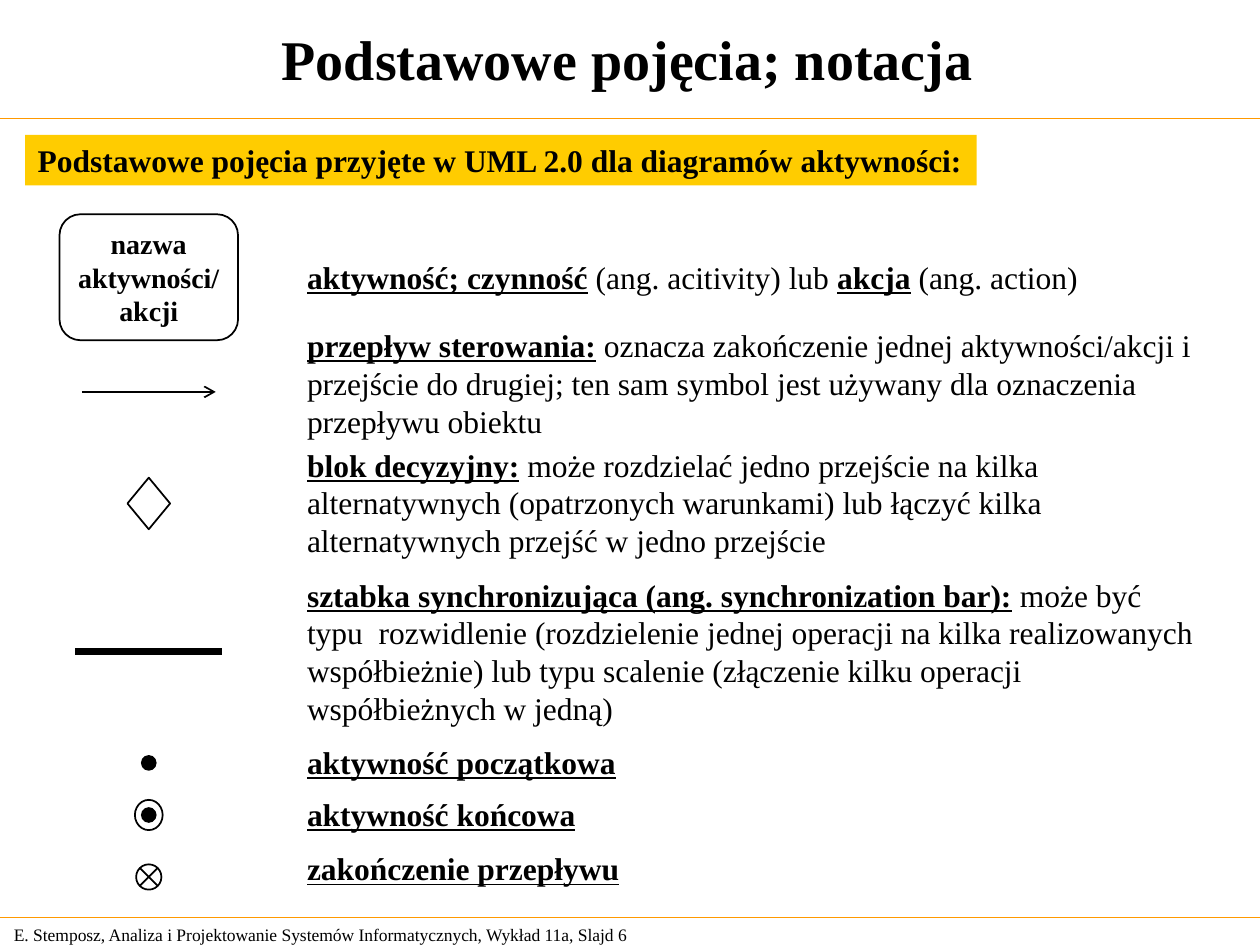
"""Builds the slide that explains the notation of UML activity diagrams."""
from dataclasses import dataclass

from lxml.etree import SubElement
from pptx import Presentation
from pptx.dml.color import RGBColor
from pptx.enum.shapes import MSO_CONNECTOR, MSO_SHAPE
from pptx.enum.text import MSO_ANCHOR, PP_ALIGN
from pptx.oxml.ns import qn
from pptx.util import Cm, Pt


@dataclass(frozen=True)
class Theme:
    font: str = "Times New Roman"
    ink: RGBColor = RGBColor(0, 0, 0)
    rule: RGBColor = RGBColor(0xFF, 0x99, 0)
    banner: RGBColor = RGBColor(0xFF, 0xCC, 0)
    title_size: int = 32
    body_size: int = 18
    symbol_size: int = 16
    footer_size: int = 10


THEME = Theme()
PAGE_WIDTH, PAGE_HEIGHT = 25.4, 19.05
TITLE = "Podstawowe pojęcia; notacja"
BANNER = "Podstawowe pojęcia przyjęte w UML 2.0 dla diagramów aktywności:"
FOOTER = "E. Stemposz, Analiza i Projektowanie Systemów Informatycznych, Wykład 11a, Slajd 6"
ACTIVITY_NAME = "nazwa\naktywności/\nakcji"
RULE_TOPS = (2.39, 18.49)
TEXT_LEFT = 5.94
SYMBOL_CENTER = 3.0

# (top, width, height, wraps, spans as (text, is_term))
DEFINITIONS = [
    (5.08, 17.4, 1.02, True, [
        ("aktywność; czynność", True), (" (ang. acitivity) lub ", False),
        ("akcja", True), (" (ang. action)", False)]),
    (6.45, 18.36, 2.54, True, [
        ("przepływ sterowania:", True),
        (" oznacza zakończenie jednej aktywności/akcji i przejście do drugiej; "
         "ten sam symbol jest używany dla oznaczenia przepływu obiektu", False)]),
    (8.86, 18.42, 2.54, True, [
        ("blok decyzyjny:", True),
        (" może rozdzielać jedno przejście na kilka alternatywnych (opatrzonych "
         "warunkami) lub łączyć kilka alternatywnych przejść w jedno przejście", False)]),
    (11.48, 18.57, 3.3, True, [
        ("sztabka synchronizująca (ang. synchronization bar):", True),
        (" może być typu  rozwidlenie (rozdzielenie jednej operacji na kilka "
         "realizowanych współbieżnie) lub typu scalenie (złączenie kilku operacji "
         "współbieżnych w jedną)", False)]),
    (14.86, 6.73, 1.02, False, [("aktywność początkowa", True)]),
    (15.9, 5.92, 1.02, False, [("aktywność końcowa", True)]),
    (17.0, 6.81, 1.02, False, [("zakończenie przepływu", True)]),
]

SYMBOLS = [
    (MSO_SHAPE.ROUNDED_RECTANGLE, 5.59, 3.6, 2.54, None, ACTIVITY_NAME),
    (MSO_SHAPE.DIAMOND, 10.15, 0.86, 1.04, None, ""),
    (MSO_SHAPE.OVAL, 15.38, 0.28, 0.28, THEME.ink, ""),
    (MSO_SHAPE.OVAL, 16.43, 0.56, 0.61, None, ""),
    (MSO_SHAPE.OVAL, 16.43, 0.28, 0.28, THEME.ink, ""),
    (MSO_SHAPE.FLOWCHART_SUMMING_JUNCTION, 17.68, 0.51, 0.51, None, ""),
]


def style_span(span, size, bold=False, underline=False):
    font = span.font
    font.name, font.size, font.bold = THEME.font, Pt(size), bold
    font.color.rgb = THEME.ink
    if underline:
        font.underline = True


def set_text(box, text, size, bold=False, align=PP_ALIGN.LEFT, anchor=MSO_ANCHOR.TOP, wrap=False):
    frame = box.text_frame
    frame.text = text
    frame.word_wrap, frame.vertical_anchor = wrap, anchor
    for paragraph in frame.paragraphs:
        paragraph.alignment = align
        for span in paragraph.runs:
            style_span(span, size, bold)


def add_line(page, left, right, top, color, width, arrow=False):
    line = page.shapes.add_connector(
        MSO_CONNECTOR.STRAIGHT, Cm(left), Cm(top), Cm(right), Cm(top))
    line.line.color.rgb, line.line.width = color, Pt(width)
    if arrow:
        SubElement(line.line._get_or_add_ln(), qn("a:tailEnd"), type="arrow")
    SubElement(line._element.spPr, qn("a:effectLst"))


def add_filled(page, kind, left, top, width, height, fill):
    shape = page.shapes.add_shape(kind, Cm(left), Cm(top), Cm(width), Cm(height))
    shape.shadow.inherit = False
    if fill is None:
        shape.fill.background()
    else:
        shape.fill.solid()
        shape.fill.fore_color.rgb = fill
    return shape


def add_symbol(page, kind, middle, width, height, fill, text):
    shape = add_filled(page, kind, SYMBOL_CENTER - width / 2, middle - height / 2,
                       width, height, fill)
    shape.line.color.rgb, shape.line.width = THEME.ink, Pt(1)
    if text:
        set_text(shape, text, THEME.symbol_size, True, PP_ALIGN.CENTER, MSO_ANCHOR.MIDDLE)


def add_definition(page, top, width, height, wraps, spans):
    box = page.shapes.add_textbox(Cm(TEXT_LEFT), Cm(top), Cm(width), Cm(height))
    box.text_frame.word_wrap = wraps
    paragraph = box.text_frame.paragraphs[0]
    for text, is_term in spans:
        span = paragraph.add_run()
        span.text = text
        style_span(span, THEME.body_size, is_term, is_term)


def main():
    deck = Presentation()
    deck.slide_width, deck.slide_height = Cm(PAGE_WIDTH), Cm(PAGE_HEIGHT)
    page = deck.slides.add_slide(deck.slide_layouts[5])

    for top in RULE_TOPS:
        add_line(page, 0, PAGE_WIDTH, top, THEME.rule, 0.75)
    footer = page.shapes.add_textbox(Cm(0.03), Cm(18.49), Cm(13.31), Cm(0.69))
    set_text(footer, FOOTER, THEME.footer_size, anchor=MSO_ANCHOR.MIDDLE, wrap=True)

    title = page.shapes.title
    title.left, title.top, title.width, title.height = Cm(0), Cm(0.1), Cm(25.3), Cm(2.16)
    set_text(title, TITLE, THEME.title_size, True, PP_ALIGN.CENTER, MSO_ANCHOR.MIDDLE, True)

    banner = add_filled(page, MSO_SHAPE.RECTANGLE, 0.51, 2.72, 19.18, 1.02, THEME.banner)
    banner.line.fill.background()
    set_text(banner, BANNER, THEME.body_size, True)

    for definition in DEFINITIONS:
        add_definition(page, *definition)
    for symbol in SYMBOLS:
        add_symbol(page, *symbol)
    for middle, length, width, arrow in ((7.9, 2.7, 1, True), (13.13, 2.97, 4, False)):
        add_line(page, SYMBOL_CENTER - length / 2, SYMBOL_CENTER + length / 2,
                 middle, THEME.ink, width, arrow)

    deck.save("out.pptx")


if __name__ == "__main__":
    main()
